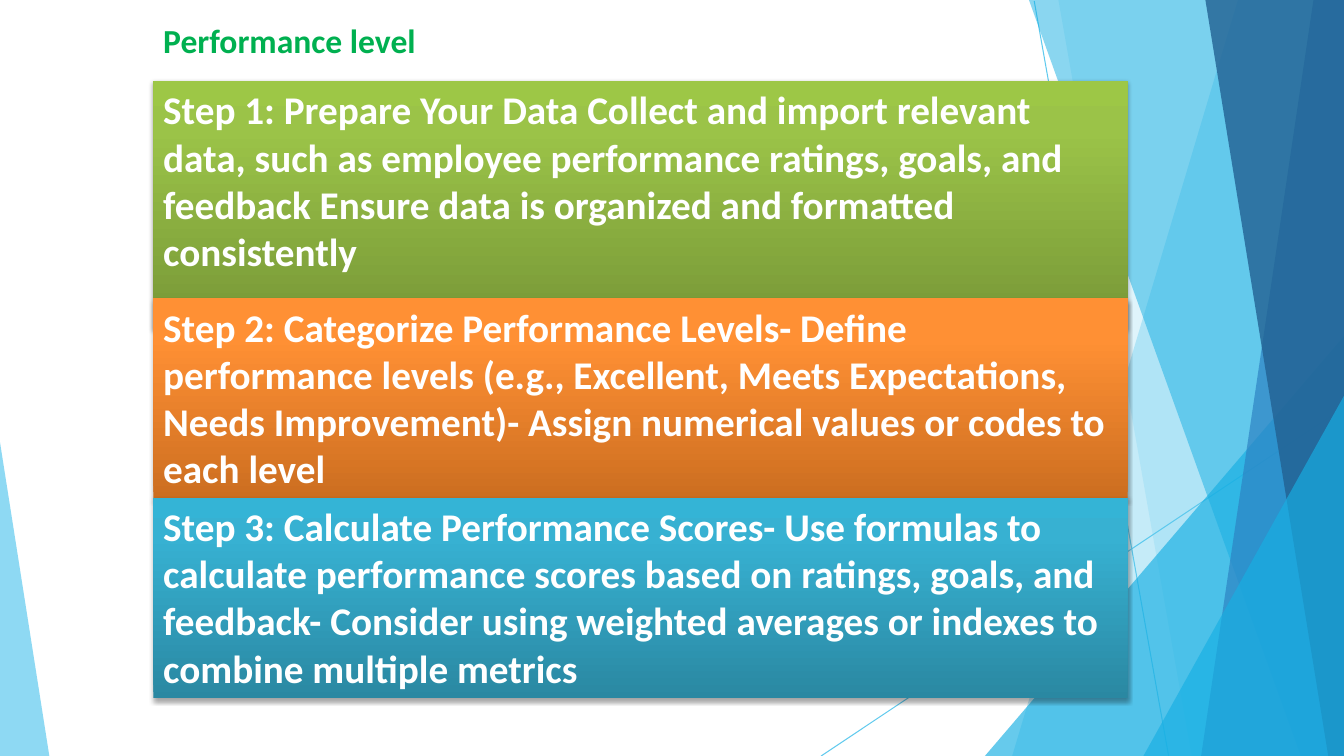
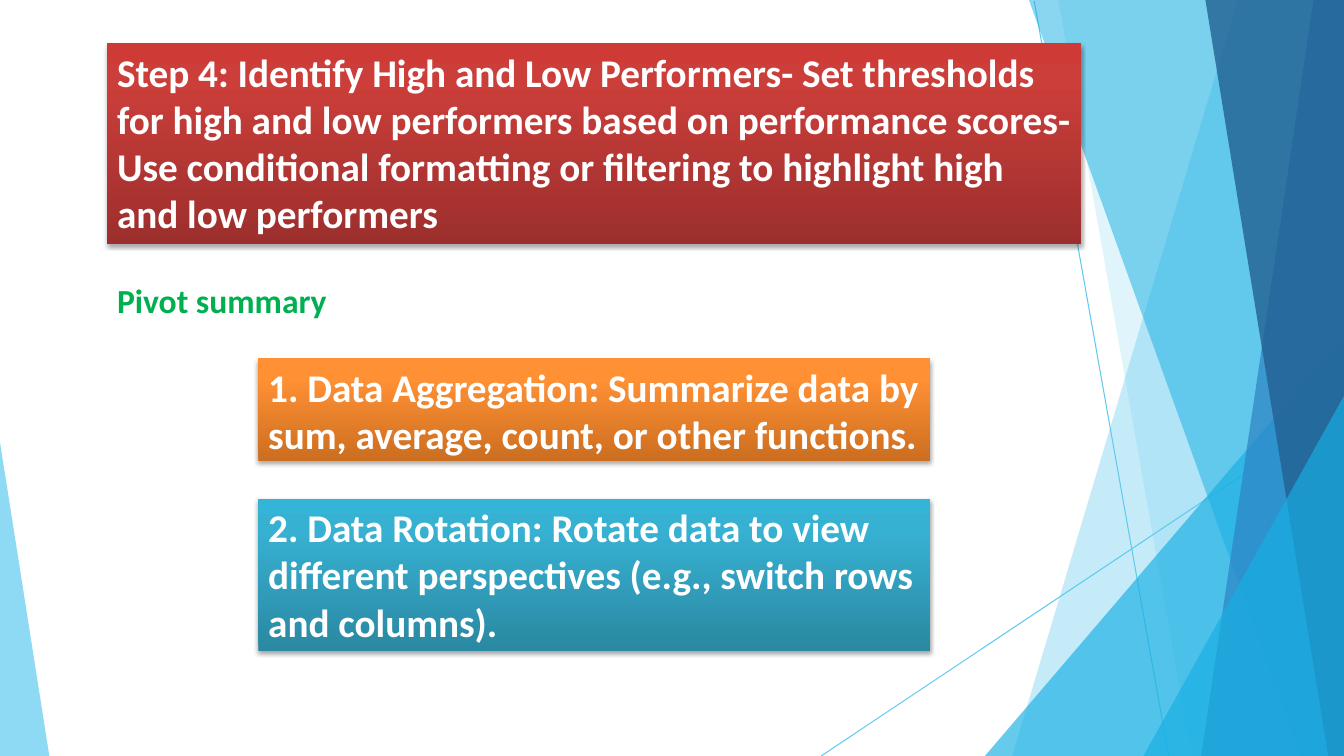
from copy import deepcopy
from dataclasses import dataclass

from pptx import Presentation
from pptx.dml.color import RGBColor
from pptx.enum.shapes import MSO_CONNECTOR, MSO_SHAPE
from pptx.enum.text import MSO_ANCHOR, PP_ALIGN
from pptx.oxml.ns import qn
from pptx.util import Pt
from lxml.etree import SubElement

PX = 9525  # EMU per px, 96 px to the inch
WIDTH, HEIGHT = 1280, 720


@dataclass(frozen=True)
class Theme:
    font: str = "Calibri"
    heading_size: int = 24
    body_size: int = 28
    heading: str = "00B050"
    body: str = "FFFFFF"
    sky: str = "5FCAEE"
    cyan: str = "17AFE3"
    blue: str = "2D83C3"
    navy: str = "226192"
    # Gradients run from the bottom edge to the top edge.
    green: tuple = ("779737", "9BC348", "9DC746")
    orange: tuple = ("CC6E20", "FF9034", "FF9136")
    teal: tuple = ("2A88A2", "37B1D2", "34B4D6")
    red: tuple = ("9C2F2D", "CB3E3A", "CE3B37")


class Deck:
    def __init__(self, theme):
        self.theme = theme
        self.prs = Presentation()
        self.prs.slide_width, self.prs.slide_height = WIDTH * PX, HEIGHT * PX
        self.layout = self.prs.slide_layouts[6]
        self.slide = None

    def add_slide(self):
        self.slide = self.prs.slides.add_slide(self.layout)

    def move_to_layout(self):
        """Turn what is drawn on the slide into the layout's backdrop."""
        for ph in list(self.layout.placeholders):
            ph.element.getparent().remove(ph.element)
        for sp in list(self.slide.shapes):
            self.layout.shapes._spTree.append(sp.element)

    def line(self, x1, y1, x2, y2, color):
        cxn = self.slide.shapes.add_connector(
            MSO_CONNECTOR.STRAIGHT, x1 * PX, y1 * PX, x2 * PX, y2 * PX)
        cxn.line.color.rgb = RGBColor.from_string(color)
        cxn.line.width = Pt(0.75)
        SubElement(cxn.element.spPr, qn("a:effectLst"))

    def polygon(self, points, color, alpha):
        builder = self.slide.shapes.build_freeform(*points[0], scale=PX)
        builder.add_line_segments(points[1:], close=True)
        sp = builder.convert_to_shape()
        sp.shadow.inherit = False
        sp.line.fill.background()
        sp.fill.solid()
        sp.fill.fore_color.rgb = RGBColor.from_string(color)
        clr = sp.element.spPr.find(qn("a:solidFill"))[0]
        SubElement(clr, qn("a:alpha"), val=str(alpha * 1000))

    def band(self, top_x, bottom_x, color, alpha):
        """Full-height band that reaches the right edge."""
        self.polygon([(WIDTH, 0), (top_x, 0), (bottom_x, HEIGHT),
                      (WIDTH, HEIGHT)], color, alpha)

    def wedge(self, edge, y, x, color, alpha):
        """Triangle in the bottom corner at the given side edge."""
        self.polygon([(edge, y), (x, HEIGHT), (edge, HEIGHT)], color, alpha)

    def backdrop(self):
        t = self.theme
        self.line(985, 1, 1113, HEIGHT, t.sky)
        self.line(WIDTH, 388, 782, HEIGHT, t.sky)
        self.band(1179, 964, t.sky, 36)
        self.band(1008, 1135, t.sky, 20)
        self.wedge(WIDTH, 320, 938, t.cyan, 66)
        self.band(980, 1239, t.cyan, 50)
        self.band(1251, 1144, t.blue, 70)
        self.band(1148, 1265, t.navy, 80)
        self.wedge(WIDTH, 377, 1089, t.cyan, 66)
        self.wedge(0, 421, 47, t.sky, 70)

    def add_text(self, sp, text, size, color):
        tf = sp.text_frame
        tf.word_wrap = True
        tf.vertical_anchor = MSO_ANCHOR.TOP
        p = tf.paragraphs[0]
        p.alignment = PP_ALIGN.LEFT
        r = p.add_run()
        r.text = text
        r.font.name = self.theme.font
        r.font.size = Pt(size)
        r.font.bold = True
        r.font.color.rgb = RGBColor.from_string(color)

    def heading(self, x, y, text):
        sp = self.slide.shapes.add_textbox(x * PX, y * PX, 640 * PX, 48 * PX)
        self.add_text(sp, text, self.theme.heading_size, self.theme.heading)

    def box(self, x, y, w, h, gradient, text):
        sp = self.slide.shapes.add_shape(
            MSO_SHAPE.RECTANGLE, x * PX, y * PX, w * PX, h * PX)
        self.fill_gradient(sp, gradient)
        sp.line.fill.background()
        self.add_shadow(sp)
        self.add_text(sp, text, self.theme.body_size, self.theme.body)

    def fill_gradient(self, sp, colors):
        sp.fill.gradient()
        sp.fill.gradient_angle = 90
        stops = sp.element.spPr.find(qn("a:gradFill")).find(qn("a:gsLst"))
        stops.append(deepcopy(stops[-1]))
        for stop, position, color in zip(
                sp.fill.gradient_stops, (0, 0.8, 1), colors):
            stop.position = position
            stop.color.rgb = RGBColor.from_string(color)

    def add_shadow(self, sp):
        sp.shadow.inherit = False
        effects = sp.element.spPr.find(qn("a:effectLst"))
        shadow = SubElement(effects, qn("a:outerShdw"), blurRad="40000",
                            dist="23000", dir="5400000", rotWithShape="0")
        clr = SubElement(shadow, qn("a:srgbClr"), val="000000")
        SubElement(clr, qn("a:alpha"), val="35000")


def performance_slide(deck):
    t = deck.theme
    steps = [
        (77, 236, t.green,
         "Step 1: Prepare Your Data Collect and import relevant data, such as "
         "employee performance ratings, goals, and feedback Ensure data is "
         "organized and formatted consistently"),
        (284, 191, t.orange,
         "Step 2: Categorize Performance Levels- Define performance levels "
         "(e.g., Excellent, Meets Expectations, Needs Improvement)- Assign "
         "numerical values or codes to each level"),
        (474, 191, t.teal,
         "Step 3: Calculate Performance Scores- Use formulas to calculate "
         "performance scores based on ratings, goals, and feedback- Consider "
         "using weighted averages or indexes to combine multiple metrics"),
    ]
    for y, h, gradient, text in steps:
        deck.box(146, y, 928, h, gradient, text)
    deck.heading(146, 14, "Performance level")


def pivot_slide(deck):
    t = deck.theme
    deck.box(102, 41, 928, 191, t.red,
             "Step 4: Identify High and Low Performers- Set thresholds for "
             "high and low performers based on performance scores- Use "
             "conditional formatting or filtering to highlight high and low "
             "performers")
    deck.heading(102, 262, "Pivot summary")
    features = [
        (341, 98, t.orange,
         "1. Data Aggregation: Summarize data by sum, average, count, or "
         "other functions."),
        (475, 145, t.teal,
         "2. Data Rotation: Rotate data to view different perspectives "
         "(e.g., switch rows and columns)."),
    ]
    for y, h, gradient, text in features:
        deck.box(246, y, 640, h, gradient, text)


def main():
    deck = Deck(Theme())
    deck.add_slide()
    deck.backdrop()
    deck.move_to_layout()
    performance_slide(deck)
    deck.add_slide()
    pivot_slide(deck)
    deck.prs.save("out.pptx")


if __name__ == "__main__":
    main()
